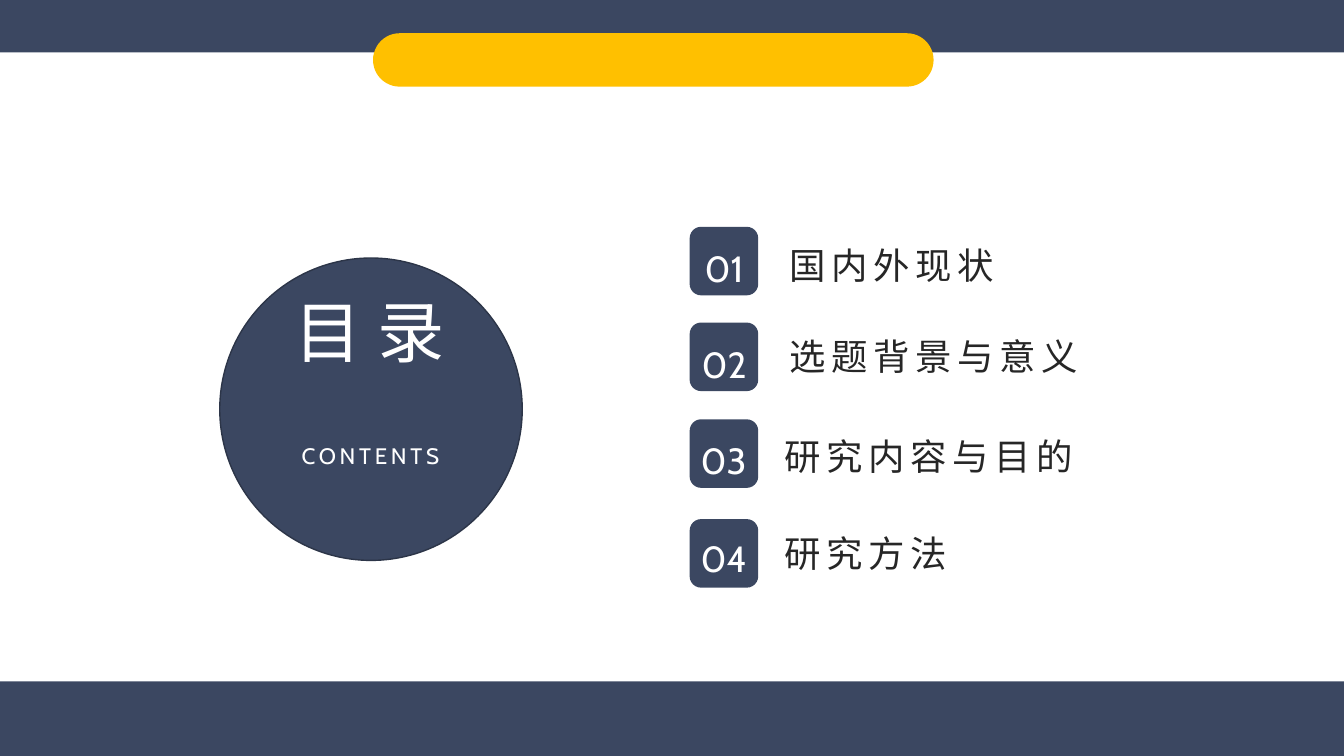
from pptx import Presentation
from pptx.dml.color import RGBColor
from pptx.enum import shapes, text
from pptx.util import Inches, Pt

NAVY, NAVY_EDGE, AMBER, WHITE, INK = "3B4761", "2C3548", "FFC000", "FFFFFF", "262626"
FONT = "Cabin"
SLIDE_WIDTH, SLIDE_HEIGHT = 13.33, 7.5
CHAPTERS = [
    ("01", "国内外现状", 2.25, 0.05, -0.07, 0.89, 0.11),
    ("02", "选题背景与意义", 3.2, 0.02, -0.07, 0.89, 0.07),
    ("03", "研究内容与目的", 4.16, 0.01, -0.08, 0.84, 0.1),
    ("04", "研究方法", 5.15, 0.01, -0.1, 0.84, 0.07),
]


def color(value):
    """Turn a hex string into a colour."""
    return RGBColor.from_string(value)


def place(item, left, top, width, height):
    """Move an item to a box given in inches."""
    item.left, item.top = Inches(left), Inches(top)
    item.width, item.height = Inches(width), Inches(height)


def add_block(slide, kind, box, fill, edge=None):
    """Draw a flat preset shape, outlined only if an edge colour is given."""
    block = slide.shapes.add_shape(kind, *map(Inches, box))
    block.shadow.inherit = False
    block.fill.solid()
    block.fill.fore_color.rgb = color(fill)
    if edge:
        block.line.color.rgb = color(edge)
        block.line.width = Pt(1)
    else:
        block.line.fill.background()
    return block


def write(item, words, size, ink, spacing=0, line=1.0, align=None, insets=(0.1, 0.05)):
    """Fill an item with one formatted run."""
    frame = item.text_frame
    frame.word_wrap = True
    frame.auto_size = text.MSO_AUTO_SIZE.NONE
    frame.vertical_anchor = text.MSO_ANCHOR.TOP
    frame.margin_left = frame.margin_right = Inches(insets[0])
    frame.margin_top = frame.margin_bottom = Inches(insets[1])
    paragraph = frame.paragraphs[0]
    paragraph.line_spacing = line
    paragraph.alignment = align
    run = paragraph.add_run()
    run.text = words
    run.font.name = FONT
    run.font.size = Pt(size)
    run.font.color.rgb = color(ink)
    if spacing:
        run.font._element.set("spc", str(round(spacing * 100)))


def add_label(slide, box, words, size, ink, **style):
    """Add a text box with one run."""
    label = slide.shapes.add_textbox(*map(Inches, box))
    write(label, words, size, ink, **style)


def add_bands(slide, width, height):
    """Draw the top and bottom bands and the amber tab."""
    rectangle = shapes.MSO_SHAPE.RECTANGLE
    add_block(slide, rectangle, (0, 0, width, 0.52), NAVY)
    add_block(slide, rectangle, (0, height - 0.74, width, 0.74), NAVY)
    tab = add_block(slide, shapes.MSO_SHAPE.ROUNDED_RECTANGLE, (3.7, 0.33, 5.56, 0.53), AMBER)
    tab.adjustments[0] = 0.5


def add_heading(slide, left, top, diameter):
    """Draw the disc with the title and its English subtitle."""
    add_block(slide, shapes.MSO_SHAPE.OVAL, (left, top, diameter, diameter), NAVY, NAVY_EDGE)
    style = {"align": text.PP_ALIGN.CENTER, "insets": (0.13, 0.07)}
    title = slide.shapes.title
    place(title, left + 0.57, top + 0.25, 1.83, 0.94)
    write(title, "目 录", 48, WHITE, **style)
    slide.shapes._spTree.append(title._element)
    add_label(slide, (left + 0.34, top + 1.76, 2.31, 0.4), "CONTENTS", 16, WHITE, spacing=2.7, **style)


def add_chapters(slide, left):
    """List the chapters as numbered tiles with names."""
    for number, name, top, number_x, number_y, name_x, name_y in CHAPTERS:
        add_block(slide, shapes.MSO_SHAPE.ROUNDED_RECTANGLE, (left, top, 0.68, 0.68), NAVY)
        add_label(slide, (left + number_x, top + number_y, 1.26, 0.7), number, 26, WHITE, line=1.5)
        add_label(slide, (left + name_x, top + name_y, 3.47, 0.54), name, 26, INK, spacing=4)


def main():
    """Build and save the contents slide."""
    deck = Presentation()
    deck.slide_width, deck.slide_height = Inches(SLIDE_WIDTH), Inches(SLIDE_HEIGHT)
    contents = deck.slides.add_slide(deck.slide_layouts.get_by_name("Title Only"))
    add_bands(contents, SLIDE_WIDTH, SLIDE_HEIGHT)
    add_heading(contents, 2.18, 2.56, 3)
    add_chapters(contents, 6.84)
    deck.save("out.pptx")


if __name__ == "__main__":
    main()
